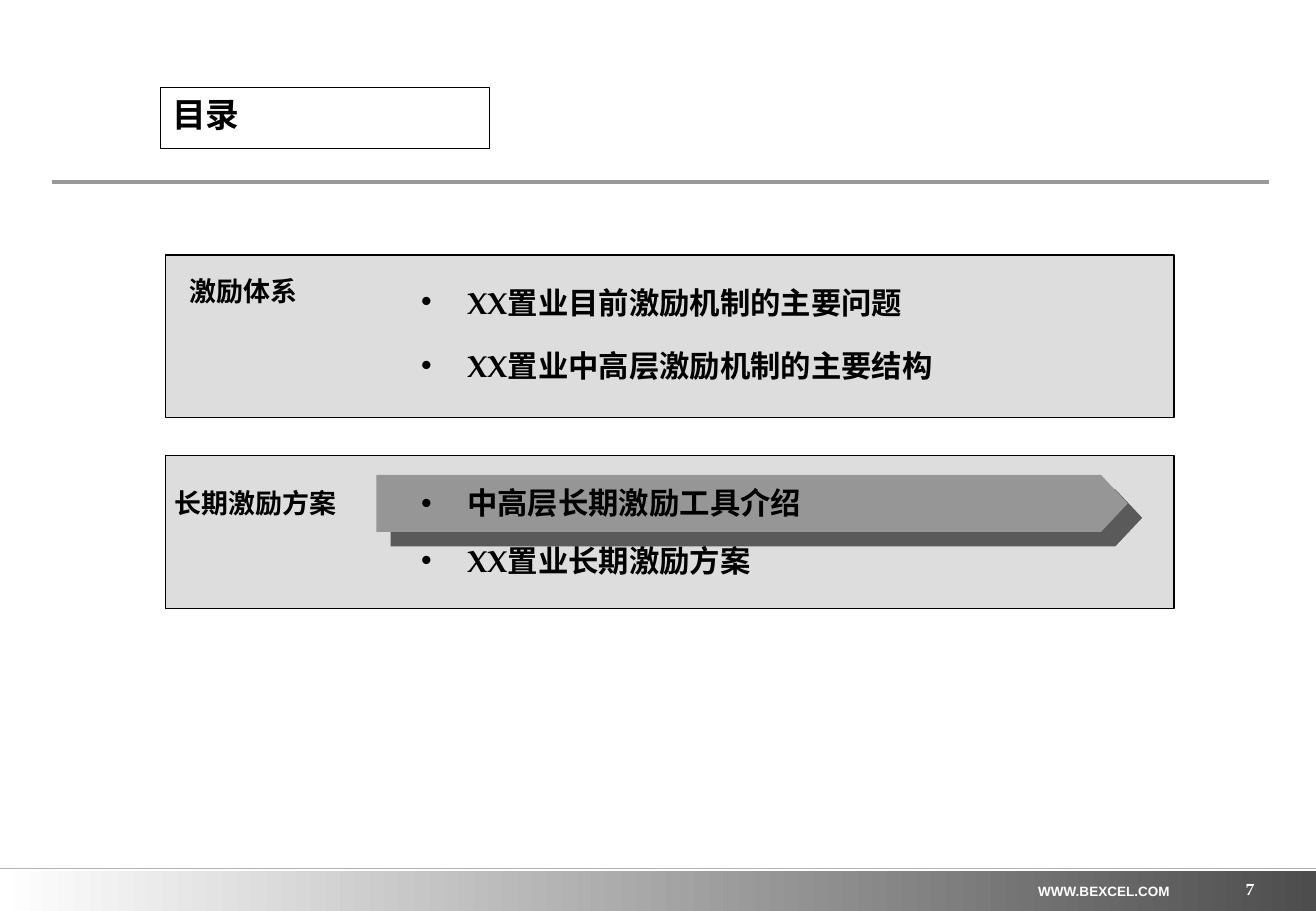
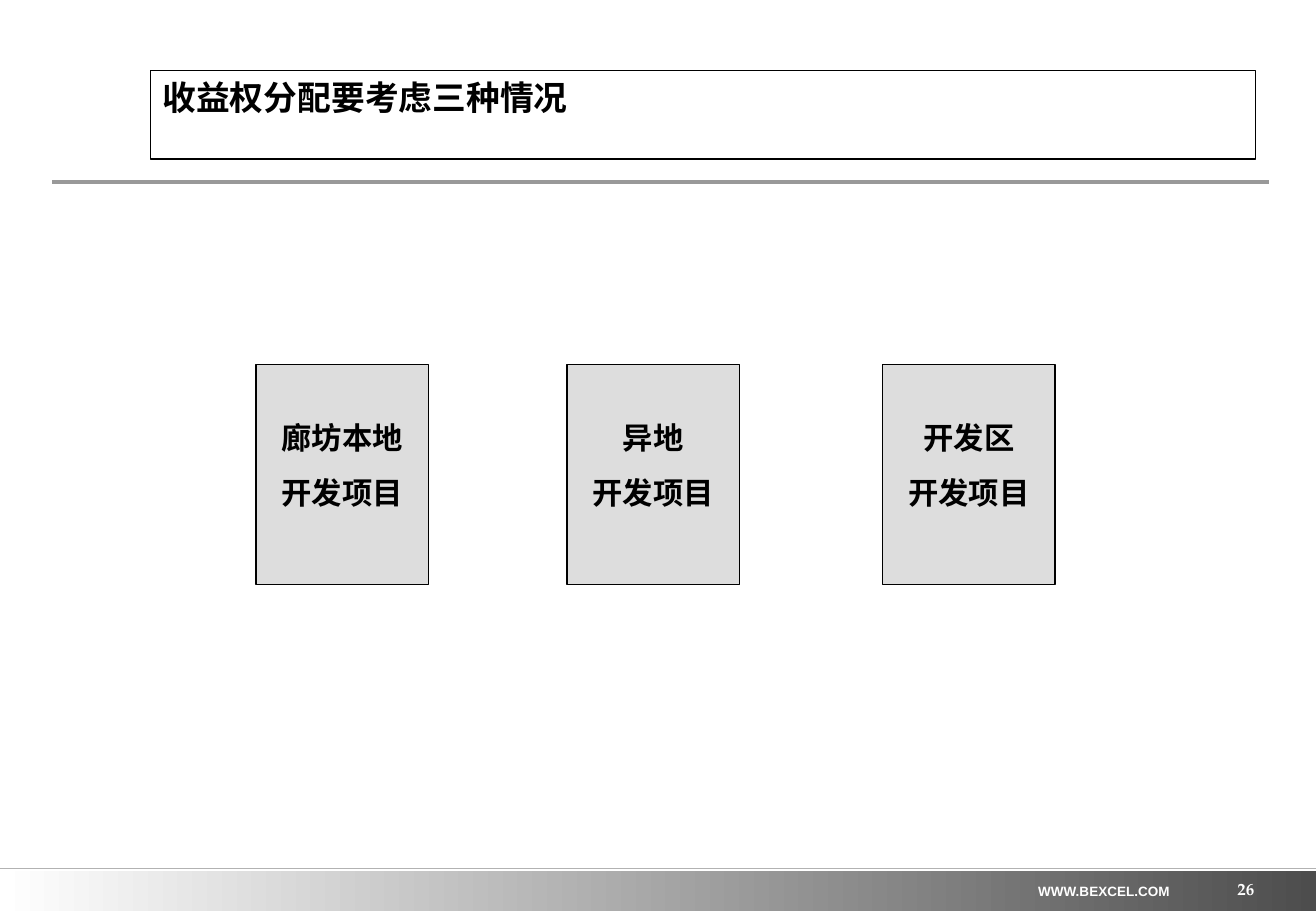
from dataclasses import dataclass
from typing import NamedTuple, Optional

from lxml import etree
from pptx import Presentation
from pptx import util as u
from pptx.dml.color import RGBColor
from pptx.enum import shapes, text
from pptx.oxml import ns

SLIDE_WIDTH, SLIDE_HEIGHT = u.Inches(10.84), u.Inches(7.5)
COLORS = {
    "white": "FFFFFF", "black": "000000", "panel": "DDDDDD", "highlight": "969696",
    "shadow": "5A5A5A", "rule": "999999", "footer_rule": "B2B2B2", "footer_end": "4D4D4D",
}
SANS, SERIF, CHINESE = "Arial", "TeX Gyre Pagella", "Noto Sans CJK SC"
LEFT, CENTER, RIGHT = text.PP_ALIGN.LEFT, text.PP_ALIGN.CENTER, text.PP_ALIGN.RIGHT
RECTANGLE = shapes.MSO_SHAPE.RECTANGLE


class Area(NamedTuple):
    """A place in percent of the slide's width and height."""
    left: float
    top: float
    width: float
    height: float

    def lengths(self) -> tuple[int, int, int, int]:
        return (across(self.left), down(self.top), across(self.width), down(self.height))


@dataclass(frozen=True)
class TextStyle:
    size: float
    font: str = CHINESE
    color: str = "black"
    align: text.PP_ALIGN = LEFT
    line_spacing: float = 1.0
    space_between: float = 0
    bullet: bool = False


@dataclass(frozen=True)
class Panel:
    area: Area
    label: str
    label_area: Area
    topics: tuple[str, ...]
    topics_area: Area
    line_spacing: float
    space_between: float
    highlight: Optional[Area] = None


@dataclass(frozen=True)
class Card:
    left: float
    lines: tuple[str, ...]


TITLE = TextStyle(20)
LABEL = TextStyle(16, align=CENTER, line_spacing=1.2)
CARD = TextStyle(18, SANS, align=CENTER, space_between=11.2)
ADDRESS = TextStyle(8, SANS, "white", CENTER)
PAGE_NUMBER = TextStyle(10, SERIF, "white", RIGHT)

PANELS = (
    Panel(Area(12.55, 28, 76.66, 17.87), "激励体系", Area(14.39, 29.47, 8.21, 4.27),
          ("XX置业目前激励机制的主要问题", "XX置业中高层激励机制的主要结构"),
          Area(31.09, 31.6, 56, 12), 0.7, 22.5),
    Panel(Area(12.55, 50, 76.66, 16.8), "长期激励方案", Area(13.28, 52.67, 12.27, 4.27),
          ("中高层长期激励工具介绍", "XX置业长期激励方案"),
          Area(31.09, 52.53, 56, 13), 1.0, 12.4, Area(28.6, 52.13, 57.1, 6.27)),
)
CARDS = (
    Card(19.46, ("廊坊本地", "开发项目")),
    Card(43.08, ("异地", "开发项目")),
    Card(67.07, ("开发区", "开发项目")),
)


def across(percent: float) -> int:
    return round(SLIDE_WIDTH * percent / 100)


def down(percent: float) -> int:
    return round(SLIDE_HEIGHT * percent / 100)


def rgb(name: str) -> RGBColor:
    return RGBColor.from_string(COLORS[name])


def add_child(parent, tag: str, **attributes: str):
    return etree.SubElement(parent, ns.qn(tag), attributes)


def add_bullet(paragraph) -> None:
    properties = paragraph._p.get_or_add_pPr()
    indent = u.Inches(0.38)
    properties.set("marL", str(indent))
    properties.set("indent", str(-indent))
    color = add_child(properties, "a:buClr")
    add_child(color, "a:srgbClr", val=COLORS["black"])
    add_child(properties, "a:buFont", typeface=SANS)
    add_child(properties, "a:buChar", char="•")


def write(shape, lines: tuple[str, ...], style: TextStyle,
          margins: tuple[float, float] = (0.1, 0.05), wrap: bool = True,
          anchor=text.MSO_ANCHOR.TOP) -> None:
    """Fill a shape with one paragraph a line; margins are side and top, in inches."""
    frame = shape.text_frame
    frame.word_wrap = wrap
    frame.vertical_anchor = anchor
    frame.margin_left = frame.margin_right = u.Inches(margins[0])
    frame.margin_top = frame.margin_bottom = u.Inches(margins[1])
    frame.text = "\n".join(lines)
    for index, paragraph in enumerate(frame.paragraphs):
        if style.bullet:
            add_bullet(paragraph)
        paragraph.alignment = style.align
        paragraph.line_spacing = style.line_spacing
        if index:
            paragraph.space_before = u.Pt(style.space_between)
        for run in paragraph.runs:
            run.font.name = style.font
            run.font.size = u.Pt(style.size)
            run.font.bold = True
            run.font.color.rgb = rgb(style.color)
            add_child(run.font._element, "a:ea", typeface=CHINESE)


def add_text(slide, area: Area, lines: tuple[str, ...], style: TextStyle, **options) -> None:
    write(slide.shapes.add_textbox(*area.lengths()), lines, style, **options)


def add_box(slide, area: Area, fill: str, outlined: bool = True, preset=RECTANGLE):
    shape = slide.shapes.add_shape(preset, *area.lengths())
    shape.shadow.inherit = False
    shape.fill.solid()
    shape.fill.fore_color.rgb = rgb(fill)
    if outlined:
        shape.line.color.rgb = rgb("black")
        shape.line.width = u.Pt(0.75)
    else:
        shape.line.fill.background()
    return shape


def add_rule(slide, left: float, right: float, top: float, color: str, width: float) -> None:
    line = slide.shapes.add_connector(
        shapes.MSO_CONNECTOR.STRAIGHT, across(left), down(top), across(right), down(top))
    line.line.color.rgb = rgb(color)
    line.line.width = u.Pt(width)
    add_child(line._element.spPr, "a:effectLst")


def add_highlight(slide, area: Area) -> None:
    arrow = add_box(slide, area, "highlight", False, shapes.MSO_SHAPE.PENTAGON)
    arrow.adjustments[0] = 0.47
    effects = arrow._element.spPr.find(ns.qn("a:effectLst"))
    shadow = add_child(effects, "a:outerShdw", dist=str(u.Pt(12.1)), dir=str(45 * 60000),
                       algn="ctr", rotWithShape="0")
    add_child(shadow, "a:srgbClr", val=COLORS["shadow"])


def add_slide(presentation, title: str, title_area: Area, number: int):
    """Add a blank slide with the shared title box, rules and footer."""
    slide = presentation.slides.add_slide(presentation.slide_layouts[6])
    band = add_box(slide, Area(0, 95.6, 100, 4.4), "white", False)
    band.fill.gradient()
    band.fill.gradient_angle = 0
    for stop, color in zip(band.fill.gradient_stops, ("white", "footer_end")):
        stop.color.rgb = rgb(color)
    add_rule(slide, 3.97, 96.4, 20, "rule", 2.5)
    add_text(slide, Area(77.95, 96.27, 11.9, 3.2), ("WWW.BEXCEL.COM",), ADDRESS, wrap=False)
    add_rule(slide, 0, 100, 95.33, "footer_rule", 1)
    add_text(slide, Area(74.45, 94.27, 20.85, 4.4), (str(number),), PAGE_NUMBER,
             margins=(0, 0), anchor=text.MSO_ANCHOR.BOTTOM)
    write(add_box(slide, title_area, "white"), (title,), TITLE)
    return slide


def add_panel(slide, panel: Panel) -> None:
    add_box(slide, panel.area, "panel")
    if panel.highlight:
        add_highlight(slide, panel.highlight)
    topic_style = TextStyle(18, SERIF, line_spacing=panel.line_spacing,
                            space_between=panel.space_between, bullet=True)
    add_text(slide, panel.topics_area, panel.topics, topic_style)
    add_text(slide, panel.label_area, (panel.label,), LABEL, margins=(0, 0), wrap=False)


def add_card(slide, card: Card) -> None:
    box = add_box(slide, Area(card.left, 40, 13.1, 24.13), "panel")
    write(box, card.lines, CARD, margins=(0.1, 0.45))


def main() -> None:
    presentation = Presentation()
    presentation.slide_width, presentation.slide_height = SLIDE_WIDTH, SLIDE_HEIGHT
    agenda = add_slide(presentation, "目录", Area(12.18, 9.6, 25, 6.67), 7)
    for panel in PANELS:
        add_panel(agenda, panel)
    cases = add_slide(presentation, "收益权分配要考虑三种情况", Area(11.44, 7.73, 83.95, 9.73), 26)
    for card in CARDS:
        add_card(cases, card)
    presentation.save("out.pptx")


if __name__ == "__main__":
    main()
